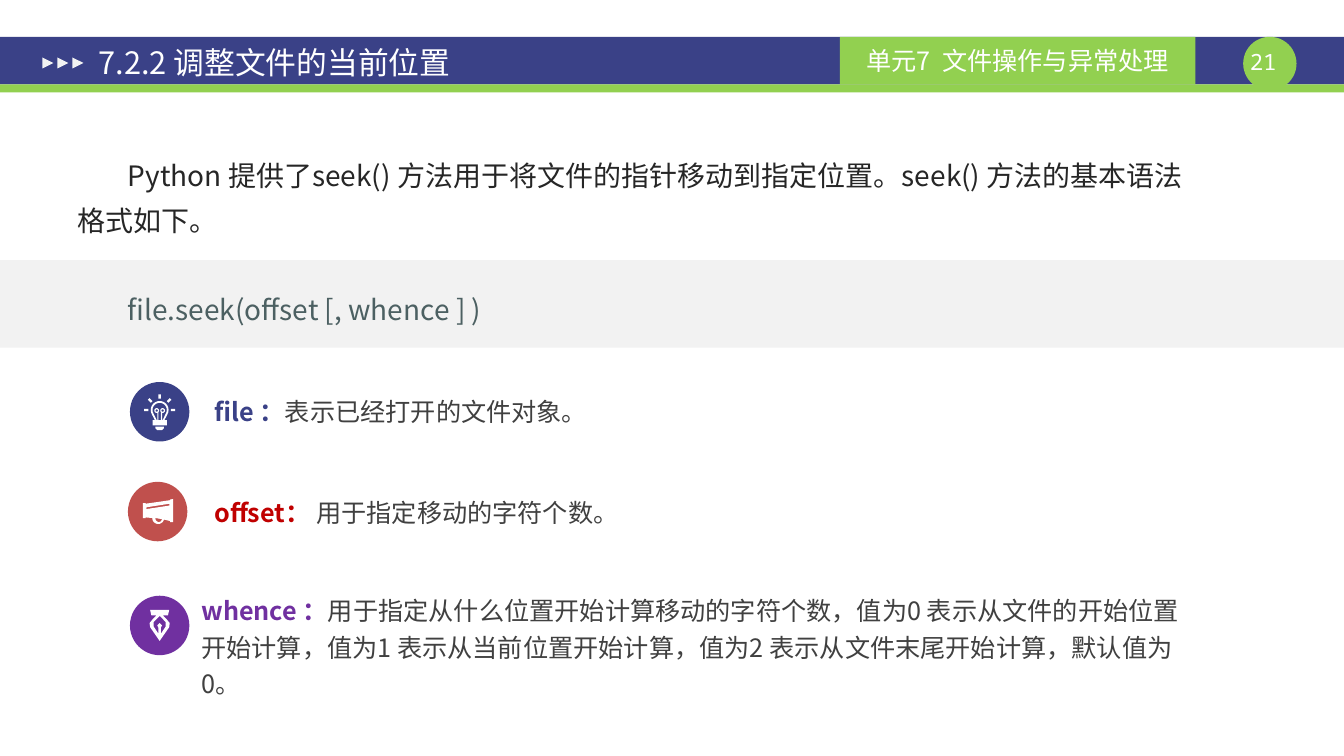
from dataclasses import dataclass
from math import cos, radians, sin

from lxml import etree
from pptx import Presentation
from pptx.dml.color import RGBColor
from pptx.enum.shapes import MSO_SHAPE
from pptx.enum.text import MSO_ANCHOR, MSO_AUTO_SIZE, PP_ALIGN
from pptx.oxml.ns import qn
from pptx.util import Inches, Pt

RECT, OVAL, TRIANGLE = MSO_SHAPE.RECTANGLE, MSO_SHAPE.OVAL, MSO_SHAPE.ISOSCELES_TRIANGLE
LEFT, CENTER = PP_ALIGN.LEFT, PP_ALIGN.CENTER
TOP, MIDDLE = MSO_ANCHOR.TOP, MSO_ANCHOR.MIDDLE
NO_FIT = MSO_AUTO_SIZE.NONE
WIDTH, HEIGHT = Inches(13.34), Inches(7.5)


@dataclass(frozen=True)
class Theme:
    """Colours, fonts and type sizes of the slide."""
    navy: str = "3A4187"
    green: str = "92D050"
    white: str = "FFFFFF"
    pale: str = "F2F2F2"
    ink: str = "262626"
    grey: str = "404040"
    code: str = "4C6062"
    brick: str = "C0504D"
    red: str = "C00000"
    purple: str = "7030A0"
    font: str = "Noto Sans CJK SC"
    mono: str = "Noto Sans Mono"
    title: int = 22
    body: int = 20
    item: int = 18
    number: int = 16


T = Theme()


def area(x, y, w, h):
    """Turn percentages of the slide's width and height into lengths."""
    return [round(v * side / 100) for v, side in zip((x, y, w, h), (WIDTH, HEIGHT) * 2)]


def paint(sp, color):
    """Give a shape a plain fill without line or shadow."""
    sp.shadow.inherit = False
    sp.fill.solid()
    sp.fill.fore_color.rgb = RGBColor.from_string(color)
    sp.line.fill.background()
    return sp


def add_block(shapes, kind, box, color):
    """Add a filled preset shape."""
    return paint(shapes.add_shape(kind, *box), color)


def add_run(p, text, size, color, bold=False, font=T.font):
    """Add one formatted run to a paragraph."""
    r = p.add_run()
    r.text = text
    r.font.name, r.font.size, r.font.bold = font, Pt(size), bold
    r.font.color.rgb = RGBColor.from_string(color)
    etree.SubElement(r.font._element, qn("a:ea"), typeface=font)


def set_frame(sp, anchor=TOP, align=LEFT, inset=(0.1, 0.05)):
    """Prepare a text frame and return its first paragraph."""
    tf = sp.text_frame
    tf.word_wrap, tf.auto_size, tf.vertical_anchor = True, NO_FIT, anchor
    tf.margin_left = tf.margin_right = Inches(inset[0])
    tf.margin_top = tf.margin_bottom = Inches(inset[1])
    tf.paragraphs[0].alignment = align
    return tf.paragraphs[0]


def arc(cx, cy, radius, start=0, end=345, step=15):
    """List points along an arc, clockwise from the right."""
    return [(cx + radius * cos(radians(a)), cy + radius * sin(radians(a)))
            for a in range(start, end + 1, step)]


def mirror(half):
    """Complete an outline that is symmetric about the middle of the disc."""
    return half + [(100 - x, y) for x, y in reversed(half)]


def ray(angle):
    """Outline one ray of light around the bulb."""
    c, d = cos(radians(angle)), sin(radians(angle))
    return [(50 + r * c - t * d, 47 + r * d + t * c)
            for r, t in ((19, -2), (26, -2), (26, 2), (19, 2))]


def bulb():
    """Outline the light bulb in percent of its disc."""
    coils = [arc(x, 48, r) for x in (45, 55) for r in (4, 2)]
    stems = [[(x, 51), (x + 2, 51), (x + 2, 64), (x, 64)] for x in (46, 52)]
    glass = arc(50, 47, 15, 150, 390) + mirror([(58, 64), (62, 64), (62, 73)])
    hollow = arc(50, 47, 12, 150, 390) + [(55, 64), (45, 64)]
    base = mirror([(57, 75), (57, 78), (54, 81)])
    return [glass, hollow, base, *coils, *stems, *(ray(a) for a in range(180, 361, 45))]


def megaphone():
    """Outline the megaphone in percent of its disc."""
    horn = [(76, 29), (71, 30), (71, 31), (30, 37), (30, 36), (25, 36), (25, 61), (30, 61),
            (30, 60), (41, 61), *reversed(arc(51, 61, 10, 15, 165)), (71, 66), (71, 68), (76, 68)]
    slot = [(31, 43), (70, 37), (70, 40), (31, 46)]
    grip = [(46, 61), (58, 63), (55, 67), (51, 68), (47, 65)]
    return [horn, slot, grip]


def pen():
    """Outline the pen nib in percent of its disc."""
    nib = mirror([(66, 24), (64, 33), (55, 33), (62, 40), (67, 46), (66, 53), (50, 76)])
    hollow = mirror([(50, 34), (60, 44), (60, 52), (52, 64), (52, 54), (54, 50), (50, 46)])
    return [nib, hollow]


def add_icon(s, box, color, outlines):
    """Add a disc with a white glyph as one group."""
    shapes = s.shapes.add_group_shape().shapes
    add_block(shapes, OVAL, box, color)
    left, top, w, h = box
    paths = [[(round(left + x * w / 100), round(top + y * h / 100)) for x, y in path]
             for path in outlines]
    pencil = shapes.build_freeform(*paths[0][0])
    pencil.add_line_segments(paths[0][1:])
    for path in paths[1:]:
        pencil.move_to(*path[0])
        pencil.add_line_segments(path[1:])
    paint(pencil.convert_to_shape(), T.white)


def add_item(s, box, term, color, text):
    """Add a parameter name followed by its explanation."""
    p = set_frame(s.shapes.add_textbox(*box))
    p.line_spacing = 1.2
    add_run(p, term, T.item, color, True)
    add_run(p, text, T.item, T.grey)


def add_header(s):
    """Build the top band with its title, unit label and page number."""
    add_block(s.shapes, RECT, area(0, 4.87, 100, 6.3), T.navy)
    add_block(s.shapes, RECT, area(0, 11.17, 100, 1.07), T.green)
    add_block(s.shapes, OVAL, area(92.5, 4.87, 3.97, 7.07), T.green)
    number = s.shapes.add_textbox(*area(92.5, 6.4, 3.97, 3.6))
    add_run(set_frame(number, align=CENTER, inset=(0, 0)), "21 ", T.number, T.white, font=T.mono)
    unit = add_block(s.shapes, RECT, area(62.5, 4.87, 26.45, 6.3), T.green)
    add_run(set_frame(unit, MIDDLE, CENTER), "单元7  文件操作与异常处理", T.item, T.white)
    for i in range(3):
        add_block(s.shapes, TRIANGLE, area(3.15 + 1.12 * i, 7.6, 0.82, 1.47), T.pale).rotation = 90
    title = s.shapes.title
    title.left, title.top, title.width, title.height = area(6.37, 5.33, 54, 5.87)
    add_run(set_frame(title, MIDDLE, inset=(0.13, 0.07)), "7.2.2 调整文件的当前位置", T.title, T.white)
    title.element.getparent().append(title.element)


def add_syntax(s):
    """Add the introduction and the call syntax over a pale band."""
    add_block(s.shapes, RECT, area(0, 34.4, 100, 11.6), T.pale)
    sp = s.shapes.add_textbox(*area(5.02, 18.93, 84.33, 25.07))
    intro, call = set_frame(sp), sp.text_frame.add_paragraph()
    for p in (intro, call):
        p.line_spacing = 1.32
        p._p.get_or_add_pPr().set("indent", str(Inches(0.5)))
    call.space_before = Pt(32)
    add_run(intro, "Python 提供了seek() 方法用于将文件的指针移动到指定位置。"
            "seek() 方法的基本语法格式如下。", T.body, T.ink)
    add_run(call, "file.seek(offset [, whence ] )", T.body, T.code)


def main():
    """Build and save the slide."""
    prs = Presentation()
    prs.slide_width, prs.slide_height = WIDTH, HEIGHT
    s = prs.slides.add_slide(prs.slide_layouts[5])
    add_header(s)
    add_syntax(s)
    disc = (4.42, 7.87)
    add_icon(s, area(9.67, 50.53, *disc), T.navy, bulb())
    add_icon(s, area(9.52, 63.73, *disc), T.brick, megaphone())
    add_icon(s, area(9.67, 78.8, *disc), T.purple, pen())
    add_item(s, area(15.22, 50.93, 76, 5.73), "file ：", T.navy, "表示已经打开的文件对象。")
    add_item(s, area(15.22, 64.27, 76, 5.73), "offset： ", T.red, "用于指定移动的字符个数。")
    add_item(s, area(14.24, 77.33, 75.26, 11.07), "whence ：", T.purple,
             "用于指定从什么位置开始计算移动的字符个数，值为0 表示从文件的开始位置开始计算，"
             "值为1 表示从当前位置开始计算，值为2 表示从文件末尾开始计算，默认值为0。")
    prs.save("out.pptx")


if __name__ == "__main__":
    main()
